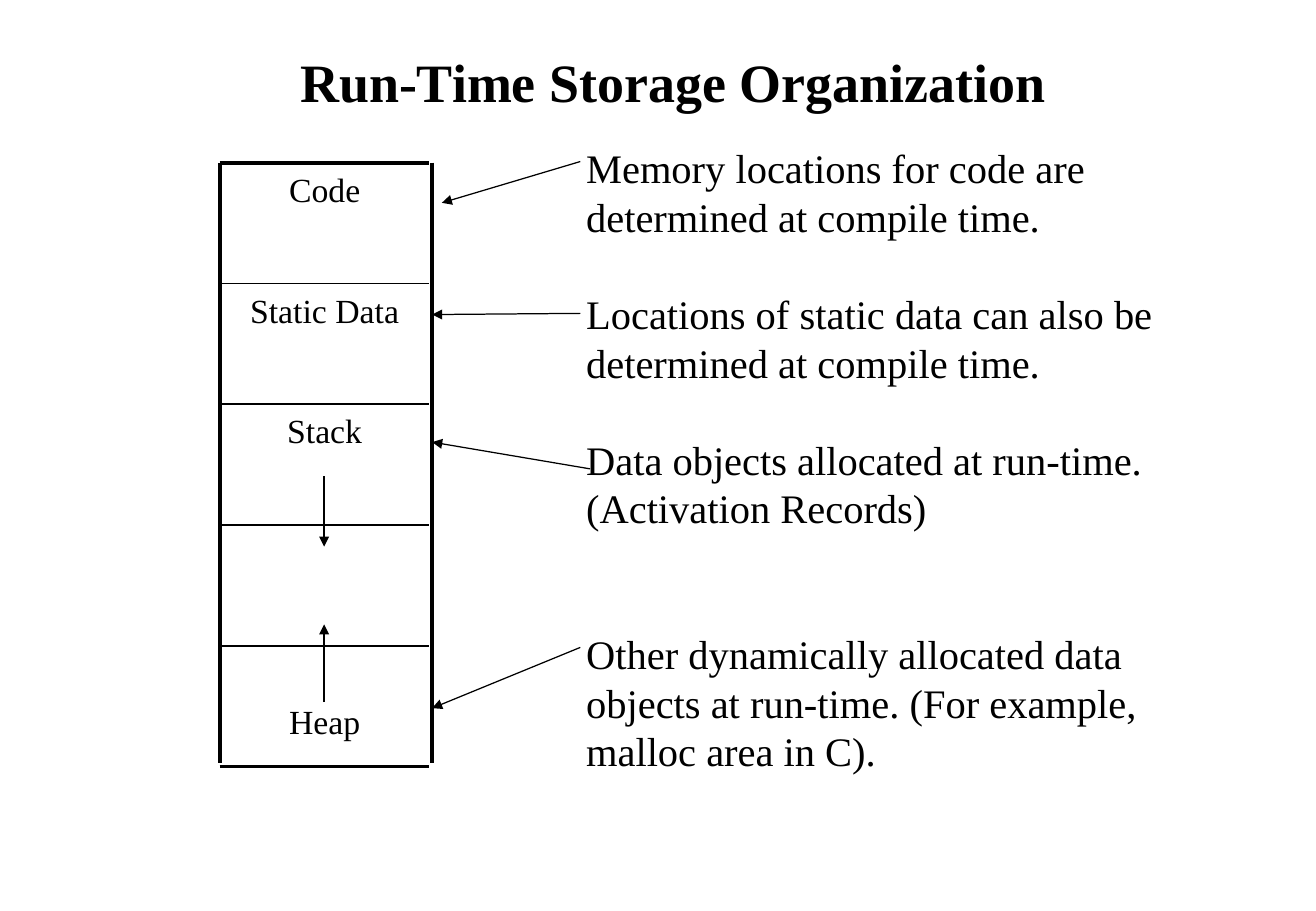
import pptx
import pptx.util
import pptx.dml.color
import pptx.enum.shapes
import pptx.enum.text
import pptx.oxml.ns
from lxml import etree

TITLE = "Run-Time Storage Organization"
# (label, its drop below the top of the area)
AREAS = [("Code", 0), ("Static Data", 0), ("Stack", 0), ("", 0), ("Heap", 40)]
# (note, blank lines above it)
NOTES = [
    ("Memory locations for code are determined at compile time.", 0),
    ("Locations of static data can also be determined at compile time.", 1),
    ("Data objects allocated at run-time. (Activation Records)", 1),
    ("Other dynamically allocated data objects at run-time. "
     "(For example, malloc area in C).", 2),
]
# (from x, from y, to x, to y)
GROWTH_ARROWS = [(267, 392, 267, 450), (267, 578, 267, 514)]
NOTE_ARROWS = [
    (478, 133, 364, 167),
    (478, 258, 356, 259),
    (486, 386, 356, 364),
    (478, 533, 356, 583),
]

COLORS = {"ink": "000000", "paper": "FFFFFF"}
FONT = "Times New Roman"
TITLE_SIZE, LABEL_SIZE, NOTE_SIZE = 32, 20, 24
LEADING = 1.2
OUTLINE, DIVIDER, ARROW = 2.25, 1, 0.75

PX_PER_INCH = 100
SLIDE_W, SLIDE_H = 1084, 750
MEM_LEFT, MEM_RIGHT, MEM_TOP, MEM_BOTTOM = 181, 356, 134, 631
DIVIDER_RIGHT, SIDE_BOTTOM = 353, 628
AREA_H = (MEM_BOTTOM - MEM_TOP) / len(AREAS)

ALIGN = pptx.enum.text.PP_ALIGN
ANCHOR = pptx.enum.text.MSO_ANCHOR


def px(length):
    return pptx.util.Emu(round(length * 914400 / PX_PER_INCH))


def rgb(name):
    return pptx.dml.color.RGBColor.from_string(COLORS[name])


def add_text(slide, box, paragraphs, size, align=ALIGN.LEFT, anchor=ANCHOR.TOP, bold=False):
    """Add a text box; paragraphs are (text, blank lines above) pairs."""
    frame = slide.shapes.add_textbox(*map(px, box)).text_frame
    frame.word_wrap = True
    frame.vertical_anchor = anchor
    for index, (text, gap) in enumerate(paragraphs):
        paragraph = frame.add_paragraph() if index else frame.paragraphs[0]
        paragraph.text = text
        paragraph.alignment = align
        paragraph.line_spacing = pptx.util.Pt(size * LEADING)
        if gap:
            paragraph.space_before = pptx.util.Pt(gap * size * LEADING)
        font = paragraph.runs[0].font
        font.name, font.size, font.bold = FONT, pptx.util.Pt(size), bold
        font.color.rgb = rgb("ink")


def add_line(slide, ends, width, arrow=False):
    line = slide.shapes.add_connector(
        pptx.enum.shapes.MSO_CONNECTOR.STRAIGHT, *map(px, ends))
    line.line.color.rgb = rgb("ink")
    line.line.width = pptx.util.Pt(width)
    qn = pptx.oxml.ns.qn
    properties = line.element.spPr
    if arrow:
        etree.SubElement(properties.find(qn("a:ln")), qn("a:tailEnd"), type="triangle")
    etree.SubElement(properties, qn("a:effectLst"))


def add_memory(slide):
    for index, (label, drop) in enumerate(AREAS):
        if label:
            top = MEM_TOP + index * AREA_H + drop
            add_text(slide, (MEM_LEFT, top, 173, 97 - drop), [(label, 0)],
                     LABEL_SIZE, ALIGN.CENTER)
    for index in range(len(AREAS) + 1):
        y = MEM_TOP + index * AREA_H
        width = OUTLINE if index in (0, len(AREAS)) else DIVIDER
        add_line(slide, (MEM_LEFT, y, DIVIDER_RIGHT, y), width)
    for x in (MEM_LEFT, MEM_RIGHT):
        add_line(slide, (x, MEM_TOP, x, SIDE_BOTTOM), OUTLINE)


def main():
    deck = pptx.Presentation()
    deck.slide_width, deck.slide_height = px(SLIDE_W), px(SLIDE_H)
    slide = deck.slides.add_slide(deck.slide_layouts[6])
    slide.background.fill.solid()
    slide.background.fill.fore_color.rgb = rgb("paper")

    add_text(slide, (42, 17, 1025, 100), [(TITLE, 0)], TITLE_SIZE,
             ALIGN.CENTER, ANCHOR.MIDDLE, bold=True)
    add_memory(slide)
    add_text(slide, (473, 113, 495, 530), NOTES, NOTE_SIZE)
    for ends in GROWTH_ARROWS + NOTE_ARROWS:
        add_line(slide, ends, ARROW, arrow=True)
    deck.save("out.pptx")


if __name__ == "__main__":
    main()
